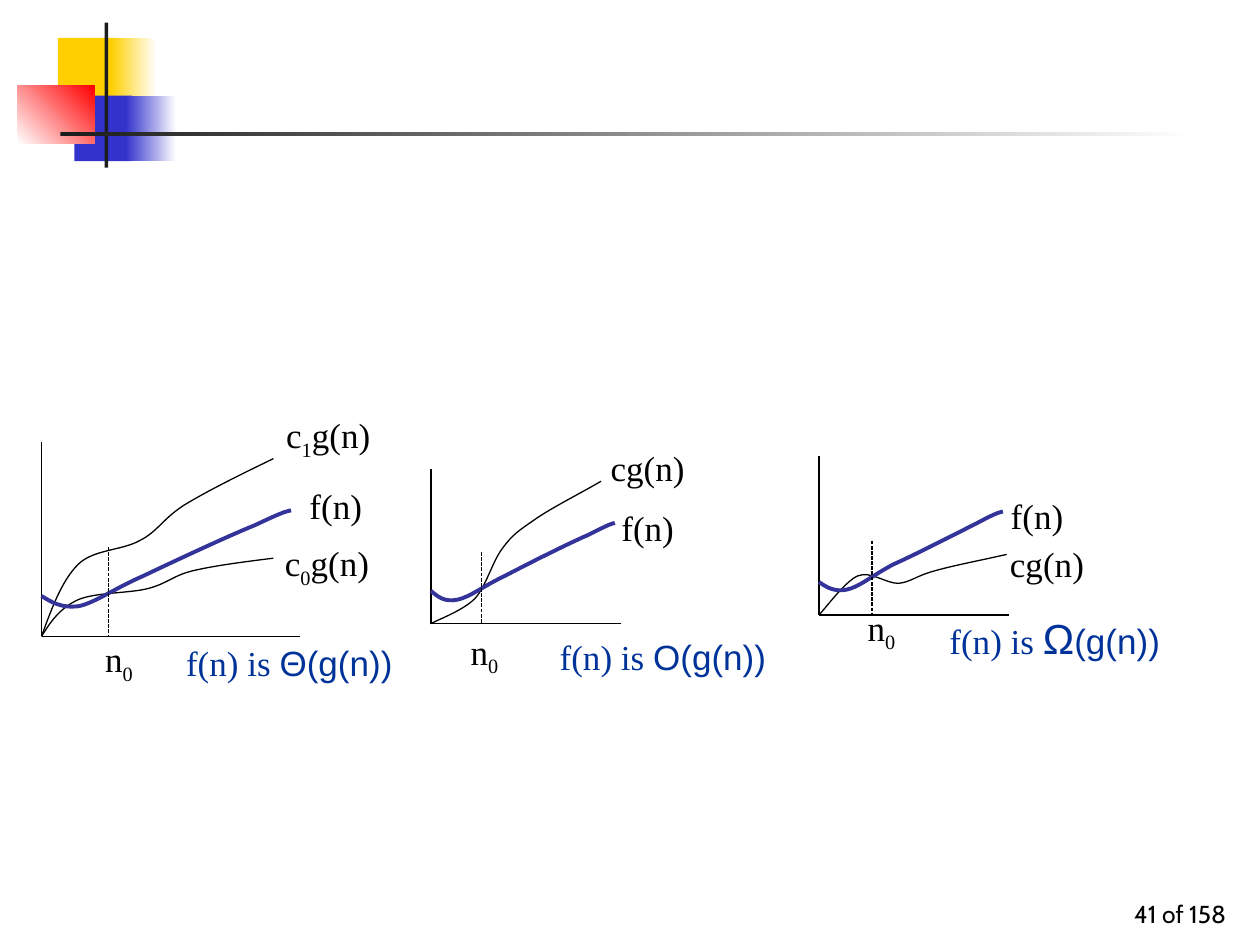
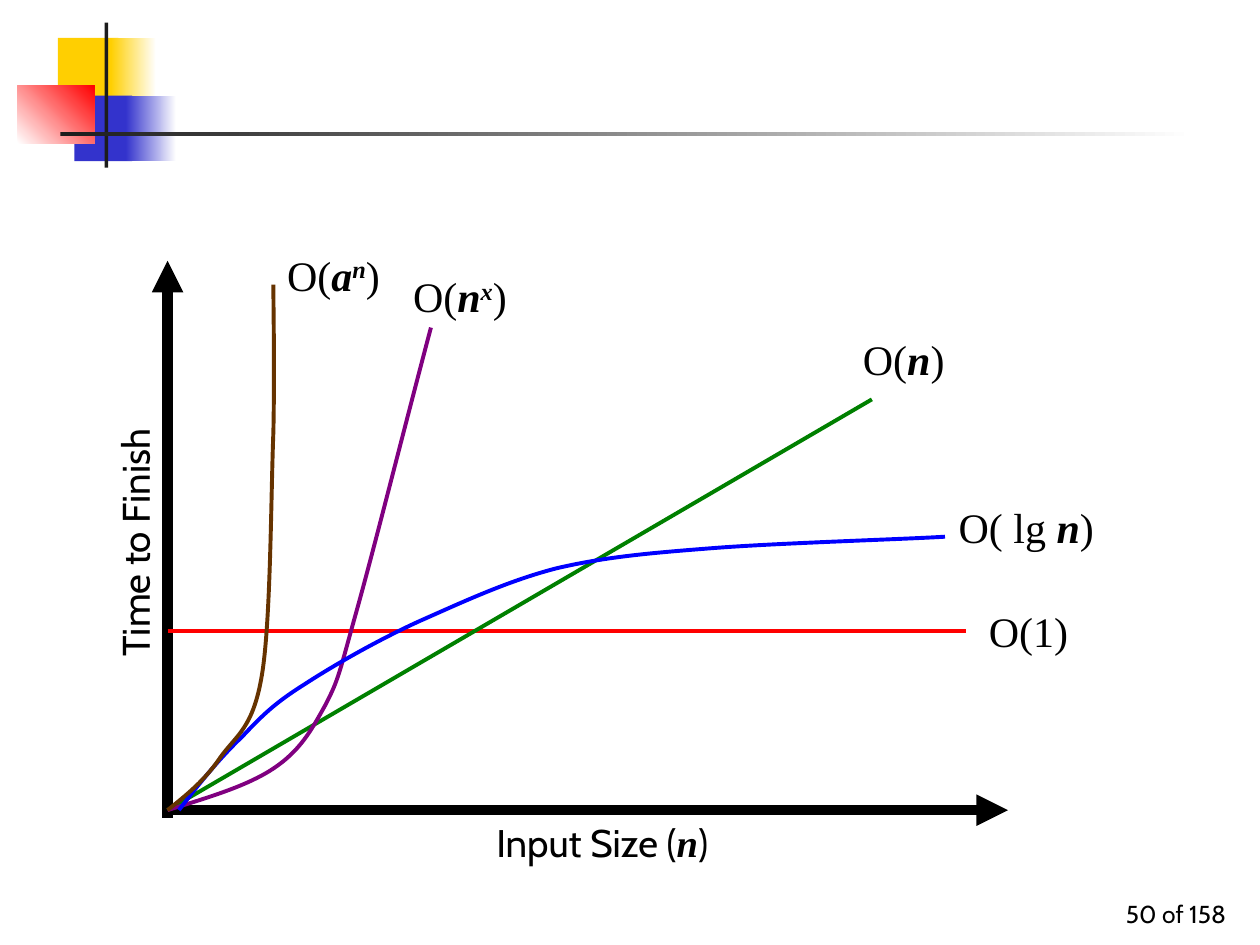
from pptx import Presentation
from pptx.dml.color import RGBColor
from pptx.enum.dml import MSO_LINE
from pptx.enum.shapes import MSO_CONNECTOR, MSO_SHAPE
from pptx.enum.text import MSO_ANCHOR, PP_ALIGN
from pptx.oxml.ns import qn
from pptx.util import Pt
from lxml.etree import SubElement

PX = 9144  # EMU in one px, 100 px to the inch
BLACK, WHITE, DARK = "000000", "FFFFFF", "1C1C1C"
GOLD, BLUE, RED = "FFCF01", "3333CC", "FF0000"
INDIGO, NAVY = "333399", "003399"
SERIF, SANS, BRAND = "Times New Roman", "Arial", "Cabin"
VAR = {"bold": True, "italic": True}
SUB, SUP = {"base": -25}, {"base": 30}


def color(code):
    return RGBColor.from_string(code)


def scale(*sizes):
    return [size * PX for size in sizes]


def rect(shapes, box, start, end=None, angle=0):
    """Borderless rectangle, plain or fading from start to end."""
    shape = shapes.add_shape(MSO_SHAPE.RECTANGLE, *scale(*box))
    shape.shadow.inherit = False
    shape.line.fill.background()
    if end is None:
        shape.fill.solid()
        shape.fill.fore_color.rgb = color(start)
        return
    shape.fill.gradient()
    shape.fill.gradient_angle = angle
    for stop, code in zip(shape.fill.gradient_stops, (start, end)):
        stop.color.rgb = color(code)


def line(shapes, start, end, code=BLACK, width=0.75, dash=None, arrow=False):
    link = shapes.add_connector(MSO_CONNECTOR.STRAIGHT, *scale(*start, *end))
    link.line.color.rgb = color(code)
    link.line.width = Pt(width)
    if dash:
        link.line.dash_style = dash
    if arrow:
        SubElement(link.line._get_or_add_ln(), qn("a:tailEnd"), type="triangle")
    SubElement(link._element.spPr, qn("a:effectLst"))


def curve(shapes, points, code=BLACK, width=0.75):
    """Open Bezier curve: a start, then three points for each piece."""
    pen = shapes.build_freeform(*points[0], scale=PX)
    pen.add_line_segments(points[1:], close=False)
    shape = pen.convert_to_shape()
    shape.shadow.inherit = False
    shape.fill.background()
    shape.line.color.rgb = color(code)
    shape.line.width = Pt(width)
    # Turn each three straight steps into one cubic piece
    path = shape._element.find(".//" + qn("a:path"))
    steps = path.findall(qn("a:lnTo"))
    for i in range(0, len(steps), 3):
        cubic = SubElement(path, qn("a:cubicBezTo"))
        for step in steps[i:i + 3]:
            cubic.append(step[0])
            path.remove(step)


def text(shapes, box, *runs, size=20, font=SERIF, code=BLACK, align=PP_ALIGN.LEFT,
         anchor=MSO_ANCHOR.TOP, space=None, turn=0):
    """Text box; a run is a string or a (string, format) pair."""
    shape = shapes.add_textbox(*scale(*box))
    shape.rotation = turn
    frame = shape.text_frame
    frame.word_wrap = True
    frame.vertical_anchor = anchor
    para = frame.paragraphs[0]
    para.alignment = align
    if space:
        para.line_spacing = space
    for item in runs:
        words, form = (item, {}) if isinstance(item, str) else item
        run = para.add_run()
        run.text = words
        run.font.size = Pt(form.get("size", size))
        run.font.name = form.get("font", font)
        run.font.color.rgb = color(code)
        run.font.bold = form.get("bold", False)
        run.font.italic = form.get("italic", False)
        if "base" in form:
            run._r.get_or_add_rPr().set("baseline", str(form["base"] * 1000))


def label(shapes, box, *runs, **form):
    """Centred label of a small plot."""
    text(shapes, box, *runs, align=PP_ALIGN.CENTER, space=1.4, **form)


def add_page(deck, number):
    """Blank slide with the corner blocks, the rules and the page number."""
    shapes = deck.slides.add_slide(deck.slide_layouts[6]).shapes
    rect(shapes, (46, 30, 48, 52), GOLD)
    rect(shapes, (88, 30, 36, 52), GOLD, WHITE)
    rect(shapes, (59, 76, 46, 52), BLUE)
    rect(shapes, (100, 76, 40, 52), BLUE, WHITE)
    rect(shapes, (14, 68, 61, 46), WHITE, RED, angle=45)
    rect(shapes, (83, 18, 3, 115), DARK)
    rect(shapes, (48, 105, 900, 3), DARK, WHITE)
    text(shapes, (775, 692, 208, 50), f"{number} of 158", size=14, font=BRAND,
         align=PP_ALIGN.RIGHT, anchor=MSO_ANCHOR.BOTTOM)
    return shapes


def add_plot(page, origin, top, right, mark, bounds, main, names, note):
    """Small plot: axes, bounding curves, f(n), threshold and labels."""
    shapes = page.add_group_shape().shapes
    left, base = origin
    line(shapes, (left, top), origin)
    line(shapes, (right, base), origin)
    for points in bounds:
        curve(shapes, points)
    curve(shapes, main, INDIGO, 2.25)
    line(shapes, mark, (mark[0], base), dash=MSO_LINE.SQUARE_DOT)
    for box, *runs in names:
        label(shapes, box, *runs)
    box, *runs = note
    label(shapes, box, "f(n) is ", *runs, code=NAVY)


def add_bounds(deck):
    """Theta, O and Omega side by side."""
    page = add_page(deck, 41)
    arial = {"font": SANS}
    add_plot(
        page, (33, 505), 351, 238, (86, 434),
        bounds=[
            [(33, 505), (40, 494), (47, 483), (62, 476), (76, 470), (103, 471), (118, 467),
             (133, 463), (137, 457), (153, 453), (170, 449), (193, 446), (217, 443)],
            [(33, 505), (41, 483), (49, 461), (62, 448), (74, 436), (97, 437), (111, 429),
             (125, 422), (129, 412), (146, 401), (164, 390), (190, 377), (217, 364)]],
        main=[(33, 473), (41, 478), (49, 483), (63, 481), (76, 478), (91, 467), (114, 457),
              (137, 446), (182, 425), (202, 417), (221, 408), (226, 406), (231, 405)],
        names=[((225, 366, 83, 57), "f(n)"),
               ((201, 410, 117, 63), "c", ("0", SUB), "g(n)"),
               ((202, 308, 117, 63), "c", ("1", SUB), "g(n)"),
               ((36, 486, 117, 63), "n", ("0", SUB))],
        note=((125, 491, 217, 57), ("Θ(g(n)) ", arial)))
    add_plot(
        page, (342, 495), 372, 493, (382, 438),
        bounds=[
            [(342, 495), (347, 492), (367, 485), (377, 475), (386, 465), (391, 445), (399, 435),
             (407, 424), (412, 421), (425, 412), (438, 403), (458, 393), (477, 382)]],
        main=[(342, 469), (348, 474), (353, 478), (363, 476), (373, 474), (384, 465), (401, 457),
              (418, 448), (452, 431), (466, 425), (480, 418), (484, 416), (488, 415)],
        names=[((483, 384, 62, 57), "f(n)"),
               ((471, 336, 86, 57), "cg(n)"),
               ((354, 480, 61, 63), "n", ("0", SUB))],
        note=((410, 486, 240, 57), ("O(g(n)) ", arial)))
    add_plot(
        page, (650, 488), 362, 801, (692, 429),
        bounds=[
            [(650, 488), (655, 483), (671, 461), (681, 457), (691, 453), (703, 463), (713, 463),
             (723, 462), (727, 457), (742, 453), (756, 449), (777, 445), (799, 440)]],
        main=[(650, 462), (656, 466), (662, 470), (672, 468), (682, 466), (692, 457), (709, 448),
              (727, 440), (760, 423), (774, 416), (789, 408), (792, 407), (796, 406)],
        names=[((792, 374, 62, 57), "f(n)"),
               ((788, 412, 86, 57), "cg(n)"),
               ((669, 461, 61, 63), "n", ("0", SUB))],
        note=((721, 465, 240, 66), ("Ω", {"font": SANS, "size": 24}), ("(g(n)) ", arial)))


def add_growth(deck):
    """Growth rates on one pair of axes."""
    shapes = add_page(deck, 50).add_group_shape().shapes
    zero = (133, 643)
    # Axes and their titles
    line(shapes, (133, 649), (133, 207), width=6, arrow=True)
    line(shapes, zero, (800, 643), width=6, arrow=True)
    text(shapes, (-3, 397, 220, 47), "Time to Finish", size=22, font=BRAND, turn=270)
    text(shapes, (384, 645, 225, 47), "Input Size (", ("n", {"font": SERIF, **VAR}), ")",
         size=22, font=BRAND)
    # Straight rates
    line(shapes, (133, 501), (767, 501), RED, 2.25)
    line(shapes, zero, (692, 317), "008000", 2.25)
    # Curved rates
    power = [zero, (165, 633), (196, 624), (217, 610), (238, 596), (247, 580), (258, 560),
             (269, 539), (269, 535), (283, 485), (297, 435), (319, 347), (342, 260)]
    log = [(142, 643), (158, 622), (175, 601), (192, 585), (208, 568), (218, 558), (242, 543),
           (265, 528), (300, 508), (333, 493), (367, 478), (403, 461), (442, 451),
           (481, 442), (515, 439), (567, 435), (618, 431), (719, 428), (750, 426)]
    steep = [zero, (148, 631), (163, 619), (175, 601), (188, 583), (201, 578), (208, 535),
             (215, 492), (215, 394), (217, 343), (218, 292), (217, 246), (217, 226)]
    for points, code in ((power, "800080"), (log, "0000FF"), (steep, "663300")):
        curve(shapes, points, code, 2.25)
    # Names of the rates, in boxes wide enough for one line
    names = [
        (318, 210, "O(", ("n", VAR), ("x", {**VAR, **SUP}), ")"),
        (675, 260, "O(", ("n", VAR), ")"),
        (775, 476, "O(1)"),
        (751, 393, "O( lg ", ("n", VAR), ")"),
        (218, 193, "O(", ("a", VAR), ("n", {**VAR, **SUP}), ")")]
    for left, top, *runs in names:
        text(shapes, (left, top, 150, 50), *runs, size=24)


def main():
    deck = Presentation()
    deck.slide_width, deck.slide_height = scale(1000, 750)
    add_bounds(deck)
    add_growth(deck)
    deck.save("out.pptx")


if __name__ == "__main__":
    main()
